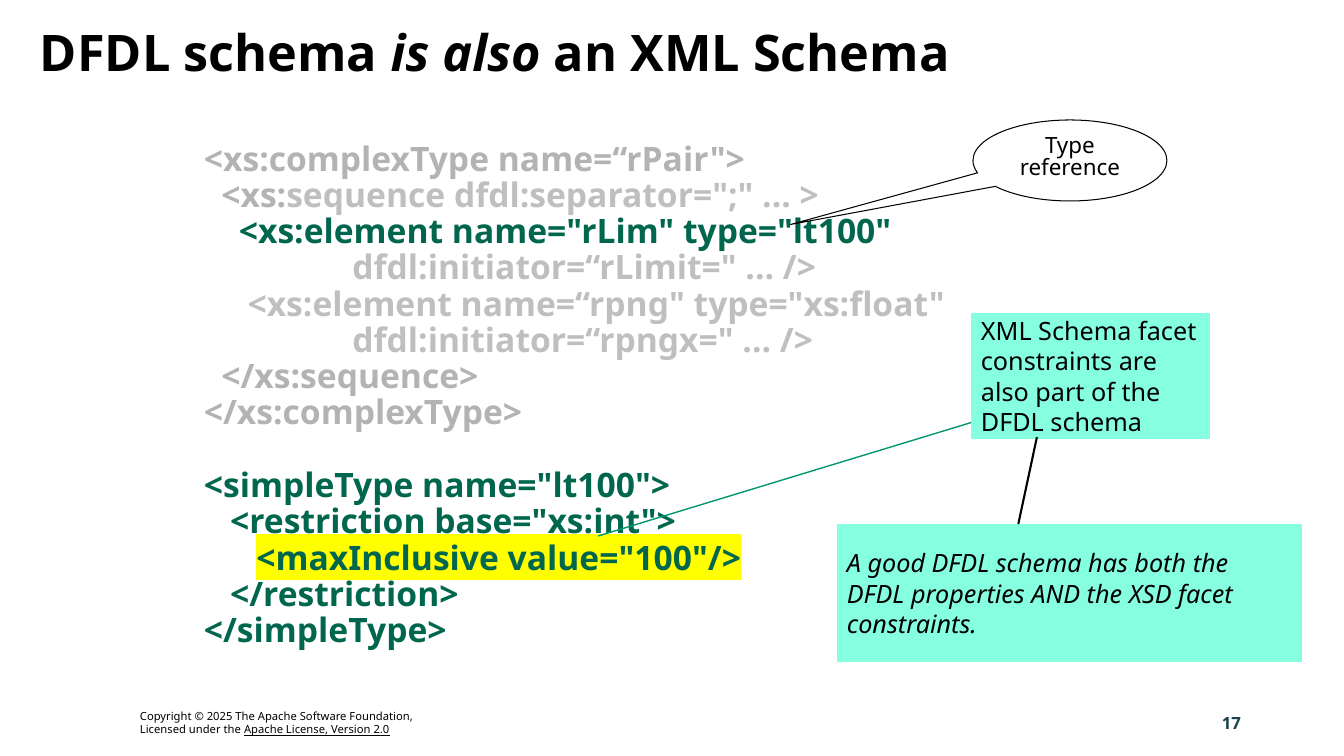
from lxml import etree
from pptx import Presentation
from pptx.dml.color import RGBColor
from pptx.enum.shapes import MSO_SHAPE
from pptx.enum.text import MSO_ANCHOR, PP_ALIGN
from pptx.oxml.ns import qn
from pptx.util import Emu, Pt

PX = 914400 / 100.8
TOP, MIDDLE = MSO_ANCHOR.TOP, MSO_ANCHOR.MIDDLE
LEFT, CENTER, RIGHT = PP_ALIGN.LEFT, PP_ALIGN.CENTER, PP_ALIGN.RIGHT
ELLIPSE_CALLOUT = MSO_SHAPE.OVAL_CALLOUT
LINE_CALLOUT = MSO_SHAPE.LINE_CALLOUT_1_NO_BORDER
BLACK, WHITE, MINT, TEAL = "000000", "FFFFFF", "85FFE0", "009771"
GREEN, GREY, PALE, YELLOW = "00664D", "B3B3B3", "BFBFBF", "FFFF00"


def px(*lengths):
    return [Emu(round(n * PX)) for n in lengths]


def write(tf, lines, size, color=BLACK, anchor=TOP, align=LEFT, spacing=1.0, **base):
    """Fill a text frame; each line is a list of (text, format) runs."""
    tf.word_wrap = True
    tf.vertical_anchor = anchor
    for i, line in enumerate(lines):
        p = tf.add_paragraph() if i else tf.paragraphs[0]
        p.alignment, p.line_spacing = align, spacing
        for text, extra in line:
            r = p.add_run()
            r.text = text
            values = {"name": "Noto Sans", "size": Pt(size), **base, **extra}
            r.font.color.rgb = RGBColor.from_string(values.pop("color", color))
            for name, value in values.items():
                setattr(r.font, name, value)


prs = Presentation()
prs.slide_width, prs.slide_height = px(1344, 756)
s = prs.slides.add_slide(prs.slide_layouts[6])

# Footer, title and slide number
tf = s.shapes.add_textbox(*px(130, 704, 298, 37)).text_frame
write(tf, [[("Copyright © 2025 The Apache Software Foundation,", {})],
           [("Licensed under the ", {}),
            ("Apache License, Version 2.0", {"underline": True})]], 8)
tf.word_wrap = False

tf = s.shapes.add_textbox(*px(30, 15, 1078, 81)).text_frame
write(tf, [[("DFDL schema ", {}), ("is also", {"italic": True}),
            (" an XML Schema", {})]], 36, anchor=MIDDLE, spacing=0.9, bold=True)

tf = s.shapes.add_textbox(*px(1165, 703, 86, 40)).text_frame
write(tf, [[("17", {})]], 12, "18434E", MIDDLE, RIGHT, bold=True)

# Schema code
code = [
    [("<xs:complexType name=“rPair\">", GREY)],
    [("  <xs:", GREY), ("sequence dfdl:separator=\";\" ... >", PALE)],
    [("    <xs:element name=\"rLim\" type=\"lt100\"", GREEN)],
    [("                 dfdl:initiator=“rLimit=\" ... />", PALE)],
    [("     <xs:element name=“rpng\" type=\"xs:float\"", PALE)],
    [("                 dfdl:initiator=“rpngx=\" ... />", PALE)],
    [("  </xs:sequence>", GREY)],
    [("</xs:complexType>", GREY)],
    [("<simpleType name=\"lt100\">", GREEN)],
    [("   <restriction base=\"xs:int\">", GREEN)],
    [("      ", GREEN), ("<maxInclusive value=\"100\"/>", GREEN)],
    [("   </restriction>", GREEN)],
    [("</simpleType>", GREEN)],
]
SIMPLE_TYPE, MAX_INCLUSIVE = 8, 10
tf = s.shapes.add_textbox(*px(194, 137, 1017, 543)).text_frame
write(tf, [[(text, {"color": color}) for text, color in line] for line in code],
      24, spacing=0.9, bold=True)
tf.paragraphs[SIMPLE_TYPE].space_before = Pt(26)

facet = tf.paragraphs[MAX_INCLUSIVE].runs[1]
highlight = etree.Element(qn("a:highlight"))
etree.SubElement(highlight, qn("a:srgbClr"), val=YELLOW)
facet.font._element.find(qn("a:solidFill")).addnext(highlight)

# Callouts: kind, box, adjustments, fill, line, line width, lines, text format
callouts = [
    (ELLIPSE_CALLOUT, (973, 120, 194, 81), (-1.44, 0.79), WHITE, BLACK, 0.75,
     ["Type", "reference"], {"size": 16, "align": CENTER, "spacing": 0.8}),
    (LINE_CALLOUT, (971, 313, 239, 126), (0.87, 0, 1.77, -1.56), MINT, TEAL, 1,
     ["XML Schema facet constraints are also part of the DFDL schema"],
     {"size": 18, "anchor": MIDDLE}),
    (LINE_CALLOUT, (837, 524, 465, 138), (0, 0.39, -0.63, 0.43), MINT, BLACK, 1.5,
     ["A good DFDL schema has both the DFDL properties AND the XSD facet constraints."],
     {"size": 18, "anchor": MIDDLE, "italic": True}),
]
for kind, box, adjustments, fill, line, width, lines, style in callouts:
    sp = s.shapes.add_shape(kind, *px(*box))
    sp.shadow.inherit = False
    for i, value in enumerate(adjustments):
        sp.adjustments[i] = value
    sp.fill.solid()
    sp.fill.fore_color.rgb = RGBColor.from_string(fill)
    sp.line.color.rgb = RGBColor.from_string(line)
    sp.line.width = Pt(width)
    write(sp.text_frame, [[(text, {})] for text in lines], **style)

prs.save("out.pptx")
